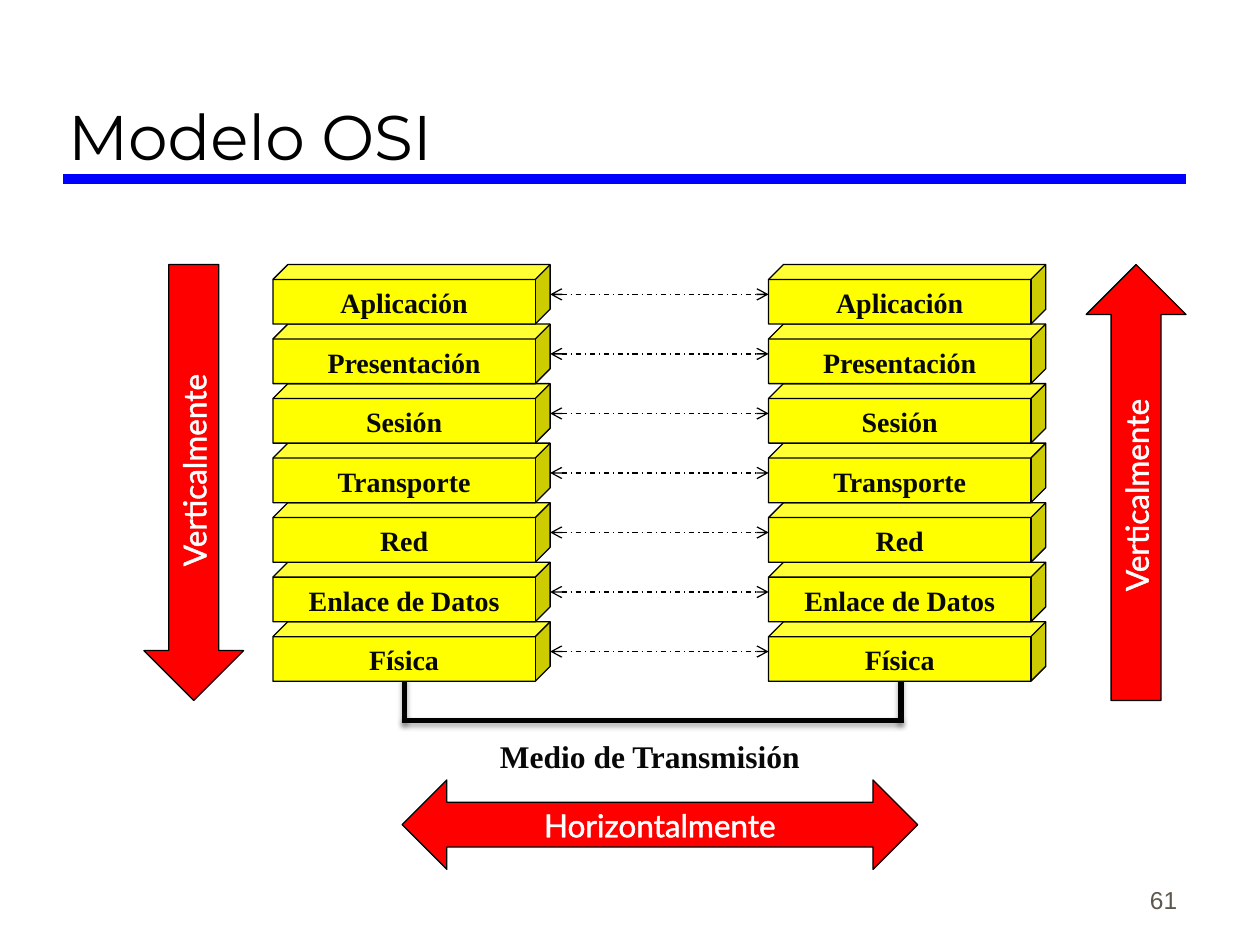
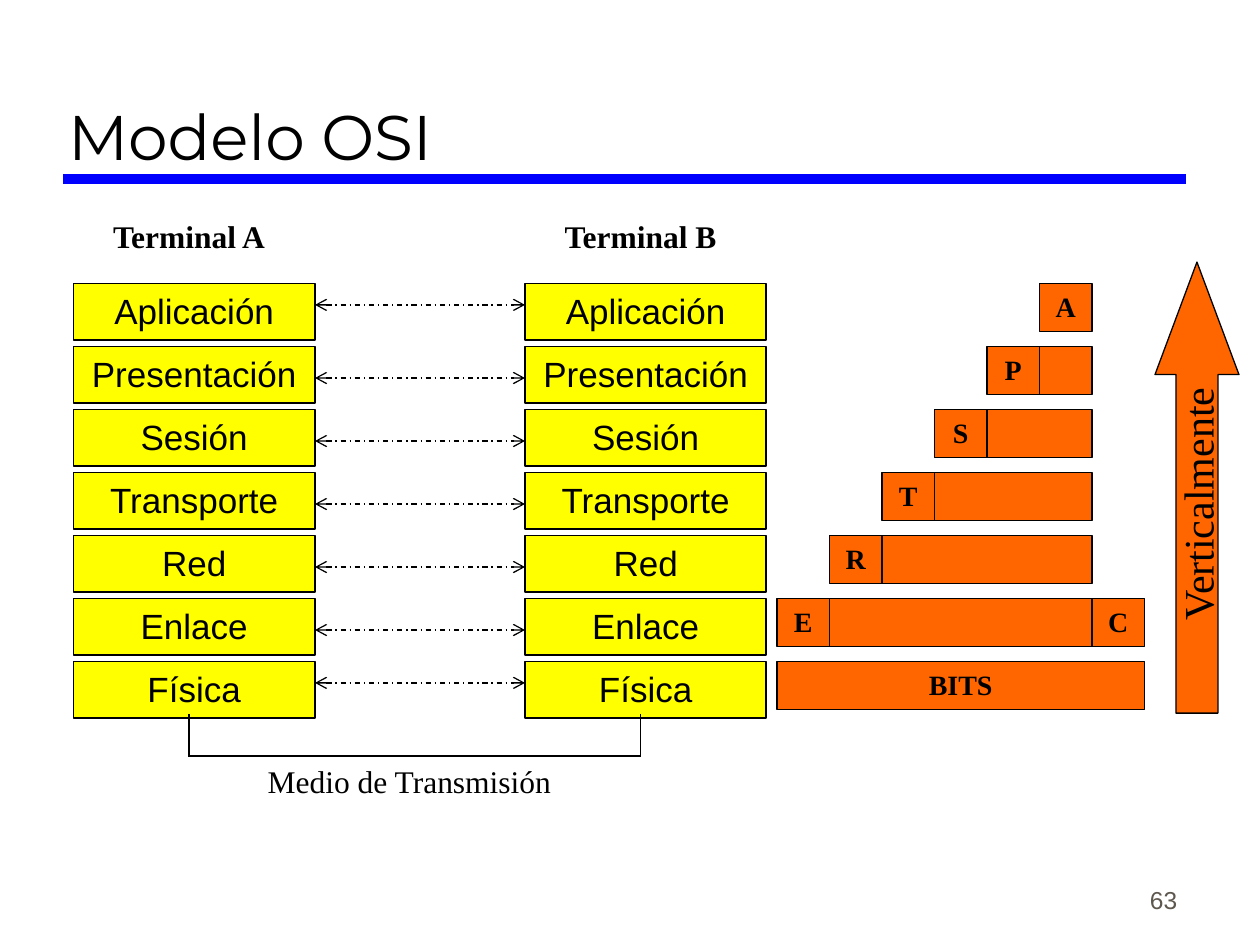
import pptx
import pptx.dml.color
import pptx.enum.dml
import pptx.enum.shapes
import pptx.enum.text
import pptx.oxml
import pptx.oxml.ns
import pptx.util

SHAPE = pptx.enum.shapes.MSO_SHAPE
ANCHOR = pptx.enum.text.MSO_ANCHOR
ALIGN = pptx.enum.text.PP_ALIGN
NS = pptx.oxml.ns.nsdecls("a")

# Slide grid: 24 columns by 15 rows
WIDTH, HEIGHT = pptx.util.Inches(10), pptx.util.Inches(7.5)
COL, ROW = WIDTH / 24, HEIGHT / 15

COLORS = {
    "black": "000000", "ink": "080808", "white": "FFFFFF", "rule": "0000FF",
    "number": "5E574E", "layer": "FFFF00", "flow": "FF0000", "data": "FF6600",
}

# Text styles: font values and colour
SERIF = "Times New Roman"
STYLES = {
    "title": ({"name": "Montserrat", "size": 36}, "black"),
    "number": ({"name": "Arial", "size": 14}, "number"),
    "cube": ({"name": SERIF, "size": 16, "bold": True}, "ink"),
    "medium": ({"name": SERIF, "size": 18, "bold": True}, "ink"),
    "flow": ({"name": "Lato", "size": 18}, "white"),
    "layer": ({"name": "Arial", "size": 20}, "black"),
    "terminal": ({"name": SERIF, "size": 18, "bold": True}, "black"),
    "caption": ({"name": SERIF, "size": 18}, "black"),
    "data": ({"name": SERIF, "size": 16, "bold": True}, "black"),
    "upward": ({"name": SERIF, "size": 24}, "black"),
}

LAYERS = ["Aplicación", "Presentación", "Sesión", "Transporte", "Red"]
MEDIUM = "Medio de Transmisión"


def rgb(name):
    return pptx.dml.color.RGBColor.from_string(COLORS[name])


def place(col, row, cols, rows):
    """Turn a grid cell range into left, top, width and height."""
    return [round(v) for v in (col * COL, row * ROW, cols * COL, rows * ROW)]


def write(sp, text, style, align=ALIGN.CENTER, **frame):
    tf = sp.text_frame
    settings = {"word_wrap": True, "vertical_anchor": ANCHOR.TOP, **frame}
    for key, value in settings.items():
        setattr(tf, key, value)
    p = tf.paragraphs[0]
    p.alignment = align
    r = p.add_run()
    r.text = text
    font, color = STYLES[style]
    for key, value in font.items():
        setattr(r.font, key, pptx.util.Pt(value) if key == "size" else value)
    r.font.color.rgb = rgb(color)


def label(s, cell, text, style, rotation=0, **options):
    sp = s.shapes.add_textbox(*place(*cell))
    sp.rotation = rotation
    write(sp, text, style, **options)


def block(s, kind, cell, fill, weight=0.75):
    sp = s.shapes.add_shape(kind, *place(*cell))
    sp.shadow.inherit = False
    sp.fill.solid()
    sp.fill.fore_color.rgb = rgb(fill)
    sp.line.color.rgb = rgb("black")
    sp.line.width = pptx.util.Pt(weight)
    return sp


def line(s, start, end, color="black", weight=0.75):
    x1, y1, x2, y2 = place(*start, *end)
    c = s.shapes.add_connector(pptx.enum.shapes.MSO_CONNECTOR.STRAIGHT, x1, y1, x2, y2)
    c.line.color.rgb = rgb(color)
    c.line.width = pptx.util.Pt(weight)
    c._element.spPr.append(pptx.oxml.parse_xml(f"<a:effectLst {NS}/>"))
    return c


def peer_arrow(s, col1, col2, row):
    """Dashed two-way arrow between two equal layers."""
    c = line(s, (col1, row), (col2, row))
    c.line.dash_style = pptx.enum.dml.MSO_LINE.DASH_DOT
    for end in ("headEnd", "tailEnd"):
        c.line._get_or_add_ln().append(
            pptx.oxml.parse_xml(f'<a:{end} {NS} type="arrow"/>'))


def medium_line(s, col1, col2, top, bottom, weight=0.75, shadow=False):
    """Bracket that joins the two stacks from below."""
    points = [(col1, top), (col1, bottom), (col2, bottom), (col2, top)]
    for start, end in zip(points, points[1:]):
        c = line(s, start, end, weight=weight)
        c.line._get_or_add_ln().set("cap", "sq")
        if shadow:
            c._element.spPr.find(pptx.oxml.ns.qn("a:effectLst")).append(
                pptx.oxml.parse_xml(
                    f'<a:outerShdw {NS} blurRad="39370" dist="22860" dir="5400000" '
                    'rotWithShape="0"><a:srgbClr val="000000"><a:alpha val="35000"/>'
                    "</a:srgbClr></a:outerShdw>"))


def flow_arrow(s, kind, cell, text, vertical=True):
    sp = block(s, kind, cell, "flow")
    write(sp, text, "flow", word_wrap=False, vertical_anchor=ANCHOR.MIDDLE)
    if vertical:
        sp.text_frame._txBody.bodyPr.set("vert", "vert270")
    # White outline that thickens the letters
    rPr = sp.text_frame.paragraphs[0].runs[0].font._element
    rPr.insert(0, pptx.oxml.parse_xml(
        f'<a:ln {NS} w="18415"><a:solidFill><a:srgbClr val="{COLORS["white"]}"/>'
        "</a:solidFill></a:ln>"))


def data_box(s, col, row, cols, text=None):
    sp = block(s, SHAPE.RECTANGLE, (col, row, cols, 0.76), "data")
    if text:
        write(sp, text, "data")


def new_slide(prs, number):
    """Blank slide with the shared title, rule and slide number."""
    s = prs.slides.add_slide(prs.slide_layouts[6])
    line(s, (1.2, 2.84), (22.6, 2.84), "rule", 6)
    label(s, (17.66, 13.62, 5, 1), number, "number",
          align=ALIGN.RIGHT, vertical_anchor=ANCHOR.BOTTOM)
    label(s, (1.06, 0.34, 21.53, 2.5), "Modelo OSI", "title",
          align=ALIGN.LEFT, vertical_anchor=ANCHOR.BOTTOM)
    return s


def directions_slide(prs):
    s = new_slide(prs, "61")
    left, right, cols = 5.2, 14.64, 5.28
    top, pitch = 4.2, 0.945
    medium_line(s, 7.7, 17.16, 10.8, 11.44, weight=3, shadow=True)

    # Layer stacks, from the bottom up so that each cube overlaps the one below
    layers = LAYERS + ["Enlace de Datos", "Física"]
    for i, name in reversed(list(enumerate(layers))):
        row = top + i * pitch
        for col in (left, right):
            sp = block(s, SHAPE.CUBE, (col, row, cols, pitch), "layer")
            write(sp, name, "cube", word_wrap=False)
        peer_arrow(s, left + cols, right, row + pitch / 2)

    # Directions of communication
    label(s, (8.78, 11.6, 7.2, 0.8), MEDIUM, "medium")
    flow_arrow(s, SHAPE.DOWN_ARROW, (2.74, top, 1.9, 6.92), "Verticalmente")
    flow_arrow(s, SHAPE.UP_ARROW, (20.69, top, 1.9, 6.92), "Verticalmente")
    flow_arrow(s, SHAPE.LEFT_RIGHT_ARROW, (7.66, 12.38, 9.82, 1.42),
               "Horizontalmente", vertical=False)


def encapsulation_slide(prs):
    s = new_slide(prs, "63")
    terminals = {"Terminal A": 1.4, "Terminal B": 10}
    layers = LAYERS + ["Enlace", "Física"]
    top, last = 4.5, len(layers) - 1

    # Terminals and their layers
    for terminal, col in terminals.items():
        label(s, (col, 3.34, 4.4, 0.8), terminal, "terminal")
        for i, name in enumerate(layers):
            sp = block(s, SHAPE.RECTANGLE, (col, top + i, 4.6, 0.9), "layer", 1)
            write(sp, name, "layer")
    for i in range(len(layers)):
        peer_arrow(s, 6, 10, top + i + (0.34 if i in (0, last) else 0.5))
    medium_line(s, 3.6, 12.2, 11.34, 12)
    label(s, (4.2, 12, 7.2, 0.8), MEDIUM, "caption")

    # Each layer adds one header in front of the data it receives
    data_end = 20.8
    for i, header in enumerate("APSTRE"):
        if i:
            data_box(s, data_end - i, top + i, i)
        data_box(s, data_end - i - 1, top + i, 1, header)
    data_box(s, data_end, top + last - 1, 1, "C")
    data_box(s, data_end - last, top + last, last + 1, "BITS")

    # Upward direction
    sp = block(s, SHAPE.UP_ARROW, (22, 4.16, 1.6, 7.16), "data")
    sp.adjustments[0], sp.adjustments[1] = 0.5, 1.34
    label(s, (18.8, 7.5, 8, 1), "Verticalmente", "upward", rotation=270)


def main():
    prs = pptx.Presentation()
    prs.slide_width, prs.slide_height = WIDTH, HEIGHT
    directions_slide(prs)
    encapsulation_slide(prs)
    prs.save("out.pptx")


if __name__ == "__main__":
    main()
